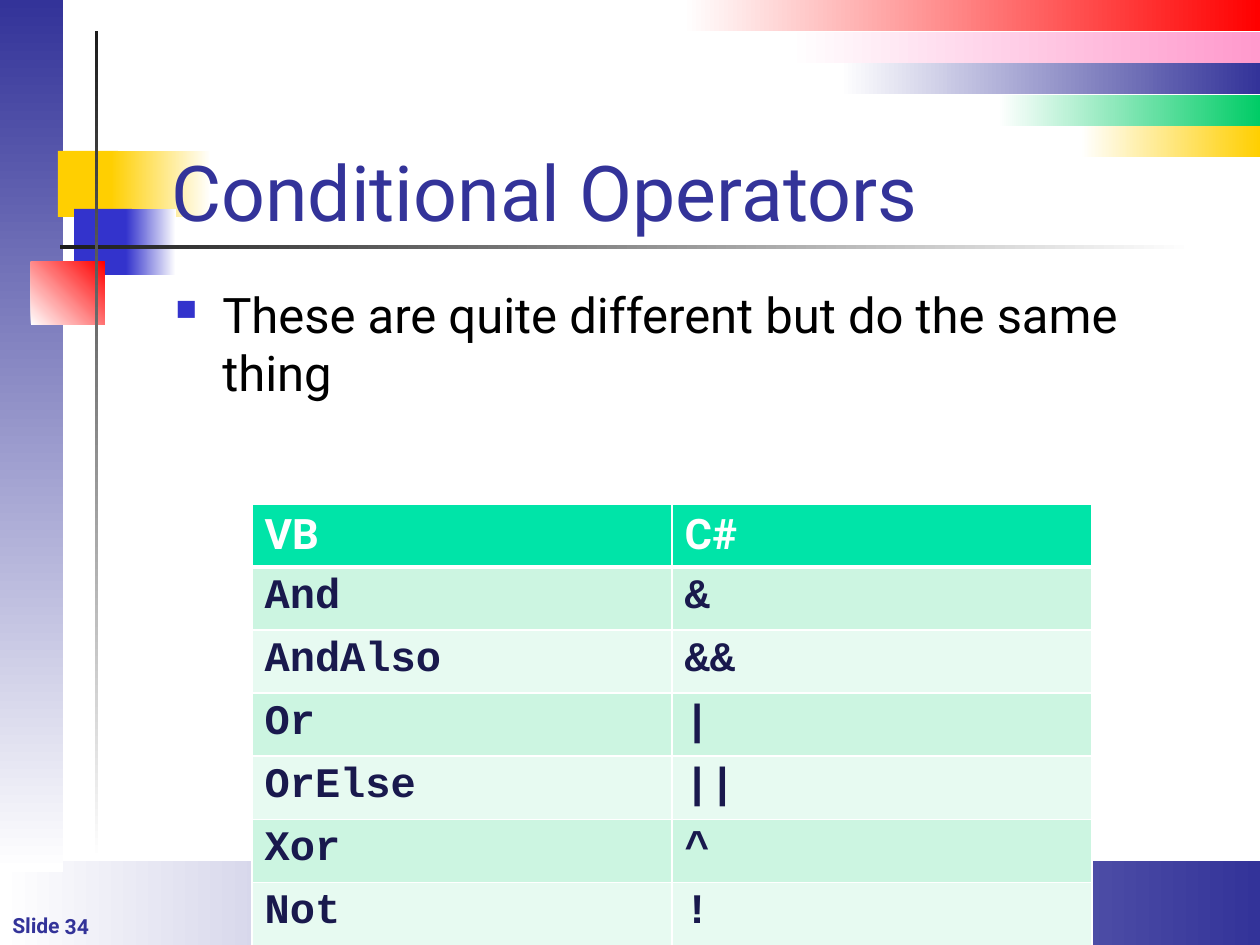
import pptx
import pptx.util
import pptx.dml.color
import pptx.enum.shapes
import pptx.enum.text
import pptx.oxml.ns
import lxml.etree

COLORS = {
    "white": "FFFFFF", "black": "000000", "ink": "1C1C1C", "navy": "333399",
    "blue": "3333CC", "yellow": "FFCF01", "red": "FF0000", "green": "00CC66",
    "pink": "FF99CC", "header": "00E4A8", "band": "CCF5E1", "pale": "E7FAF1",
    "code": "19194D",
}
TITLE = "Conditional Operators"
BULLET = "These are quite different but do the same thing"
FOOTER = "Slide 34"
OPERATORS = [
    ("VB", "C#"), ("And", "&"), ("AndAlso", "&&"), ("Or", "|"),
    ("OrElse", "||"), ("Xor", "^"), ("Not", "!"),
]
PANELS = [
    ((0, 861, 1260, 84), "white", "navy", 0),
    ((0, 0, 63, 872), "navy", "white", 270),
]
STRIPES = [("red", 577), ("pink", 472), ("navy", 420), ("green", 262), ("yellow", 179)]
ORNAMENTS = [
    ((58, 151, 60, 66), "yellow", "yellow", 0),
    ((111, 151, 100, 66), "yellow", "white", 0),
    ((74, 209, 58, 66), "blue", "blue", 0),
    ((126, 209, 50, 66), "blue", "white", 0),
    ((60, 245, 1134, 4), "ink", "white", 0),
    ((31, 262, 74, 63), "white", "red", 45),
    ((95, 31, 3, 829), "ink", "white", 270),
]
SLIDE_WIDTH, SLIDE_HEIGHT = 1260, 945
STRIPE_PITCH = 31.5
TABLE_LEFT, TABLE_TOP, COLUMN_WIDTH, ROW_HEIGHT = 252, 504, 420, 60


def px(length):
    return pptx.util.Emu(round(length * 914400 / 126))


def color(name):
    return pptx.dml.color.RGBColor.from_string(COLORS[name])


def add_block(page, place, start, end, angle):
    block = page.shapes.add_shape(
        pptx.enum.shapes.MSO_SHAPE.RECTANGLE, *map(px, place))
    block.shadow.inherit = False
    block.line.fill.background()
    if start == end:
        block.fill.solid()
        block.fill.fore_color.rgb = color(start)
        return
    block.fill.gradient()
    block.fill.gradient_angle = angle
    for stop, name, position in zip(block.fill.gradient_stops, (start, end), (0, 1)):
        stop.color.rgb = color(name)
        stop.position = position


def style(para, size, name, bold=False, font="Roboto"):
    para.font.size = pptx.util.Pt(size)
    para.font.name = font
    para.font.bold = bold
    para.font.color.rgb = color(name)


def add_text(page, place, text, size, name, bold=False):
    box = page.shapes.add_textbox(*map(px, place))
    box.text_frame.word_wrap = True
    para = box.text_frame.paragraphs[0]
    para.text = text
    style(para, size, name, bold)
    return box


def add_child(parent, tag, **attributes):
    return lxml.etree.SubElement(parent, pptx.oxml.ns.qn(tag), **attributes)


def add_bullet(para):
    properties = para._p.get_or_add_pPr()
    properties.set("marL", str(px(47)))
    properties.set("indent", str(px(-47)))
    bullet_color = pptx.oxml.ns.qn("a:buClr")
    marks = [lxml.etree.Element(bullet_color)]
    add_child(marks[0], "a:srgbClr", val=COLORS["blue"])
    for tag, key, value in (("a:buSzPct", "val", "60000"), ("a:buChar", "char", "■")):
        marks.append(lxml.etree.Element(pptx.oxml.ns.qn(tag), **{key: value}))
    for place, mark in enumerate(marks):
        properties.insert(place, mark)


def add_borders(cell, bottom, top):
    properties = cell._tc.get_or_add_tcPr()
    for side, points in (("L", 1), ("R", 1), ("T", top), ("B", bottom)):
        line = add_child(properties, "a:ln" + side, w=str(pptx.util.Pt(points)))
        fill = add_child(line, "a:solidFill")
        add_child(fill, "a:srgbClr", val=COLORS["white"])


def add_operator_table(page):
    rows, columns = len(OPERATORS), len(OPERATORS[0])
    place = (TABLE_LEFT, TABLE_TOP, COLUMN_WIDTH * columns, ROW_HEIGHT * rows)
    table = page.shapes.add_table(rows, columns, *map(px, place)).table
    for row, operators in enumerate(OPERATORS):
        for column, operator in enumerate(operators):
            cell = table.cell(row, column)
            add_borders(cell, 3 if row == 0 else 1, 3 if row == 1 else 1)
            cell.fill.solid()
            band = "header" if row == 0 else ("pale", "band")[row % 2]
            cell.fill.fore_color.rgb = color(band)
            cell.text = operator
            look = ("white", True, "Roboto") if row == 0 else ("code", True, "Courier New")
            style(cell.text_frame.paragraphs[0], 24, *look)


def main():
    deck = pptx.Presentation()
    deck.slide_width, deck.slide_height = px(SLIDE_WIDTH), px(SLIDE_HEIGHT)
    page = deck.slides.add_slide(deck.slide_layouts[6])
    for panel in PANELS:
        add_block(page, *panel)
    for index, (name, width) in enumerate(STRIPES):
        place = (SLIDE_WIDTH - width, index * STRIPE_PITCH, width, STRIPE_PITCH)
        add_block(page, place, "white", name, 0)
    for ornament in ORNAMENTS:
        add_block(page, *ornament)

    footer = add_text(page, (0, 907, 147, 38), FOOTER, 12, "navy", True)
    footer.rotation = 0.7
    title = add_text(page, (159, 86, 1074, 157), TITLE, 44, "navy")
    title.text_frame.vertical_anchor = pptx.enum.text.MSO_ANCHOR.BOTTOM
    body = add_text(page, (163, 278, 1071, 567), BULLET, 28, "black")
    add_bullet(body.text_frame.paragraphs[0])
    add_operator_table(page)
    deck.save("out.pptx")


if __name__ == "__main__":
    main()
